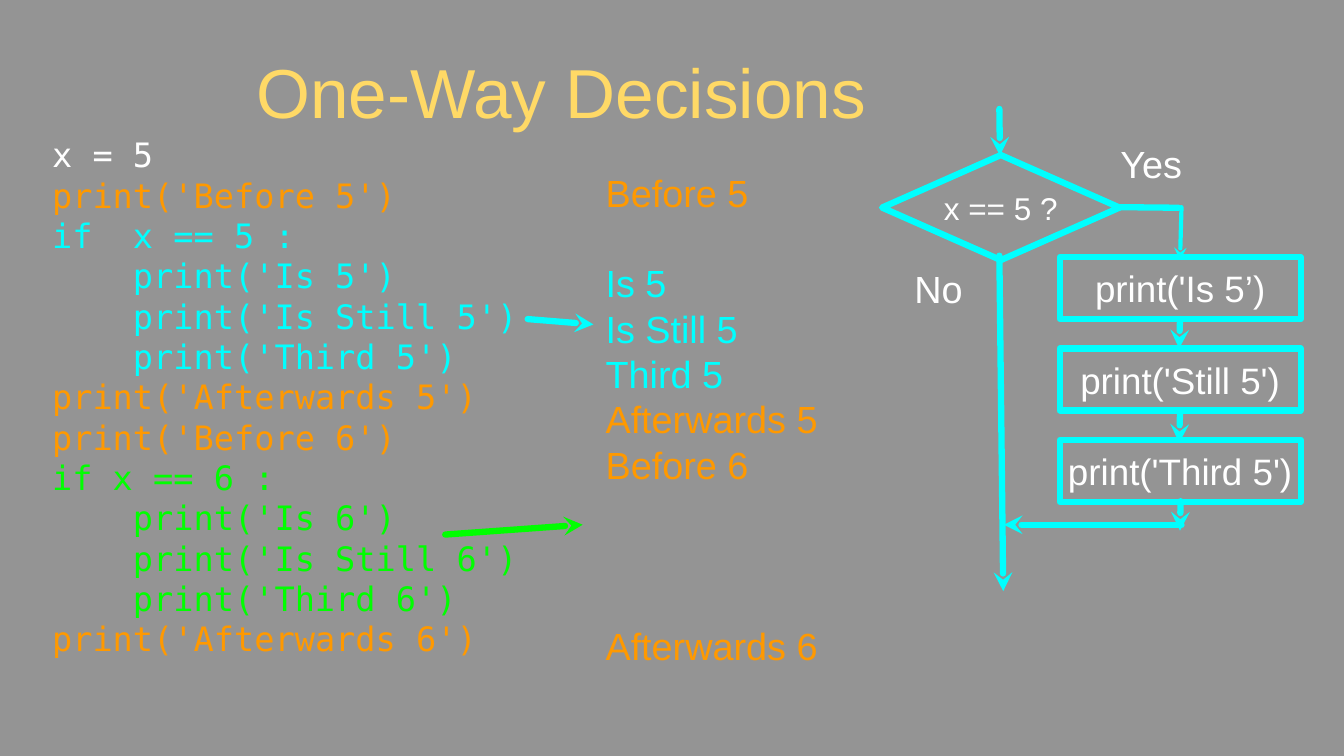
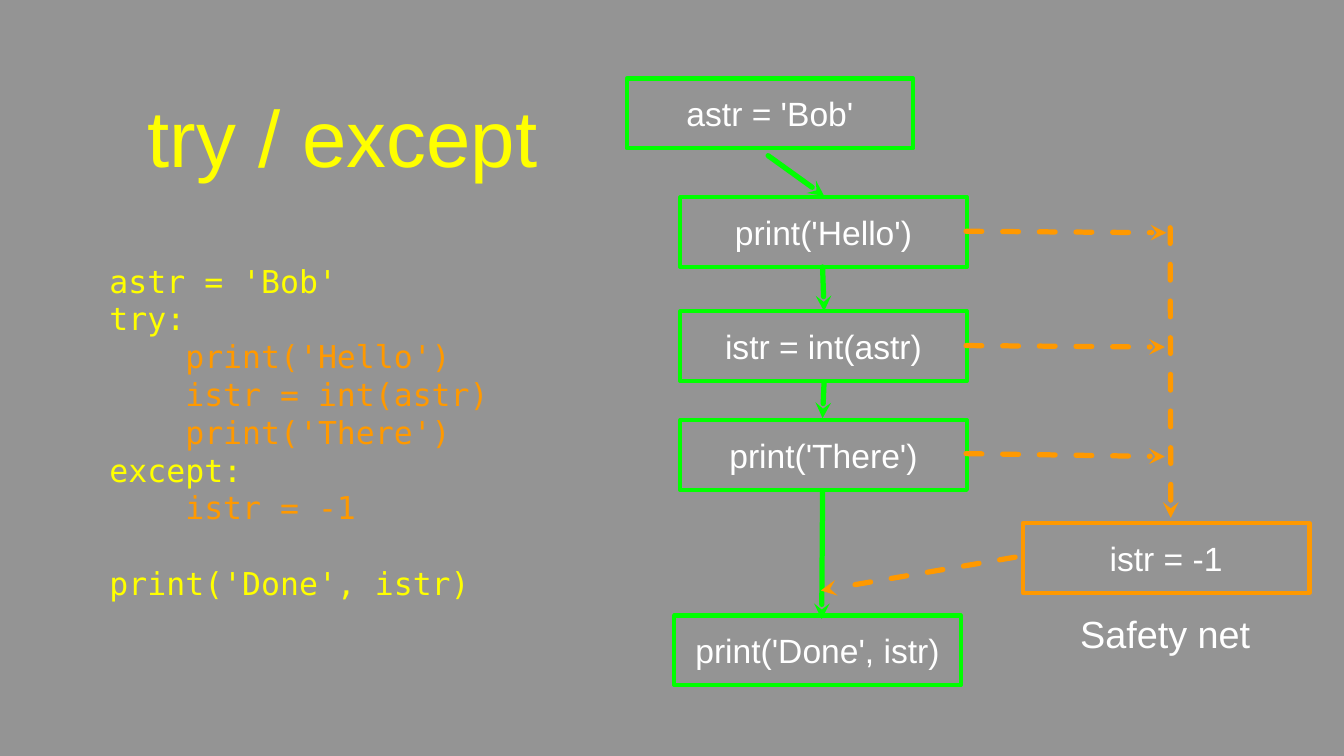
"""Build two slides on conditional execution: one-way decisions and try / except."""
from lxml import etree
from pptx import Presentation
from pptx.dml.color import RGBColor
from pptx.enum.dml import MSO_LINE
from pptx.enum.shapes import MSO_CONNECTOR, MSO_SHAPE
from pptx.enum.text import MSO_ANCHOR, PP_ALIGN
from pptx.oxml.ns import qn
from pptx.util import Cm, Pt

LEFT, CENTER = PP_ALIGN.LEFT, PP_ALIGN.CENTER
MIDDLE = MSO_ANCHOR.MIDDLE
RECTANGLE, DIAMOND = MSO_SHAPE.RECTANGLE, MSO_SHAPE.DIAMOND
STRAIGHT, DASH = MSO_CONNECTOR.STRAIGHT, MSO_LINE.DASH

GREY = RGBColor(0x94, 0x94, 0x94)
WHITE = RGBColor(0xFF, 0xFF, 0xFF)
GOLD = RGBColor(0xFF, 0xD9, 0x66)
YELLOW = RGBColor(0xFF, 0xFF, 0x00)
ORANGE = RGBColor(0xFF, 0x99, 0x00)
CYAN = RGBColor(0x00, 0xFF, 0xFF)
GREEN = RGBColor(0x00, 0xFF, 0x00)

SANS, MONO = "Arial", "DejaVu Sans Mono"
LINE_HEIGHT = 1.2
MONO_ADVANCE = 0.602


def write(shape, lines, size, font=SANS, align=CENTER, inset=0):
    """Fill a shape with lines of (text, colour, indent in characters, lines skipped before)."""
    frame = shape.text_frame
    frame.word_wrap = True
    frame.vertical_anchor = MIDDLE
    frame.margin_left = frame.margin_right = Cm(inset)
    frame.margin_top = frame.margin_bottom = Cm(inset)
    frame.text = "\n".join(line[0] for line in lines)
    for paragraph, (_, color, indent, skipped) in zip(frame.paragraphs, lines):
        paragraph.alignment = align
        paragraph.line_spacing = Pt(size * LINE_HEIGHT)
        paragraph.space_before = Pt(size * LINE_HEIGHT * skipped)
        if indent:
            margin = Pt(indent * MONO_ADVANCE * size)
            paragraph._p.get_or_add_pPr().set("marL", str(int(margin)))
        for run in paragraph.runs:
            run.font.name = font
            run.font.size = Pt(size)
            run.font.color.rgb = color


def connect(slide, points, color, width, dashed=False, arrow=True):
    """Draw a round-capped line through (x1, y1, x2, y2) with its arrowhead at the end."""
    connector = slide.shapes.add_connector(STRAIGHT, *[Cm(value) for value in points])
    connector.line.color.rgb = color
    connector.line.width = Pt(width)
    if dashed:
        connector.line.dash_style = DASH
    properties = connector._element.spPr
    outline = properties.find(qn("a:ln"))
    outline.set("cap", "rnd")
    if arrow:
        etree.SubElement(outline, qn("a:tailEnd")).set("type", "stealth")
    etree.SubElement(properties, qn("a:effectLst"))


prs = Presentation()
prs.slide_width, prs.slide_height = Cm(45.16), Cm(25.4)
prs.slide_master.background.fill.solid()
prs.slide_master.background.fill.fore_color.rgb = GREY
title_only = prs.slide_layouts[5]

decision_code = [
    ("x = 5", WHITE, 0, 0),
    ("print('Before 5')", ORANGE, 0, 0),
    ("if  x == 5 :", CYAN, 0, 0),
    ("print('Is 5')", CYAN, 4, 0),
    ("print('Is Still 5')", CYAN, 4, 0),
    ("print('Third 5')", CYAN, 4, 0),
    ("print('Afterwards 5')", ORANGE, 0, 0),
    ("print('Before 6')", ORANGE, 0, 0),
    ("if x == 6 :", GREEN, 0, 0),
    ("print('Is 6')", GREEN, 4, 0),
    ("print('Is Still 6')", GREEN, 4, 0),
    ("print('Third 6')", GREEN, 4, 0),
    ("print('Afterwards 6')", ORANGE, 0, 0),
]
decision_output = [
    ("Before 5", ORANGE, 0, 0),
    ("Is 5", CYAN, 0, 1),
    ("Is Still 5", CYAN, 0, 0),
    ("Third 5", CYAN, 0, 0),
    ("Afterwards 5", ORANGE, 0, 0),
    ("Before 6", ORANGE, 0, 0),
    ("Afterwards 6", ORANGE, 0, 3),
]
try_code = [
    ("astr = 'Bob'", YELLOW, 0, 0),
    ("try:", YELLOW, 0, 0),
    ("print('Hello')", ORANGE, 4, 0),
    ("istr = int(astr)", ORANGE, 4, 0),
    ("print('There')", ORANGE, 4, 0),
    ("except:", YELLOW, 0, 0),
    ("istr = -1", ORANGE, 4, 0),
    ("print('Done', istr)", YELLOW, 0, 1),
]

decision_steps = [(RECTANGLE, text, 35, (35.61, 8.64 + 3.07 * row, 8.1, 2.08), CYAN, 6)
                  for row, text in enumerate(["print('Is 5’)", "print('Still 5')", "print('Third 5')"])]
decision_steps.append((DIAMOND, "x == 5 ?", 30, (29.64, 5.21, 7.98, 3.53), CYAN, 6))
try_steps = [(RECTANGLE, text, 32, (left, top, 9.63, 2.34), color, 4)
             for text, left, top, color in [
                 ("astr = 'Bob'", 21.06, 2.64, GREEN),
                 ("print('Hello')", 22.86, 6.63, GREEN),
                 ("istr = int(astr)", 22.86, 10.46, GREEN),
                 ("print('There')", 22.86, 14.12, GREEN),
                 ("print('Done', istr)", 22.66, 20.68, GREEN),
                 ("istr = -1", 34.37, 17.58, ORANGE)]]

pages = [
    (("One-Way Decisions", GOLD, 66, (5.64, 1.57, 26.44, 2.97)),
     [(decision_code, 32, MONO, LEFT, (1.75, 4.29, 15.88, 18.06)),
      (decision_output, 36, SANS, LEFT, (20.35, 5.79, 7.85, 16.56)),
      ([("Yes", WHITE, 0, 0)], 36, SANS, CENTER, (37.13, 4.62, 3.1, 1.73)),
      ([("No", WHITE, 0, 0)], 36, SANS, CENTER, (30.53, 8.81, 2.01, 1.73))],
     decision_steps),
    (("try / except", YELLOW, 76, (3.2, 2.08, 16.61, 4.98)),
     [(try_code, 30, MONO, LEFT, (3.68, 7.9, 14.38, 13.21)),
      ([("Safety net", WHITE, 0, 0)], 36, SANS, CENTER, (35.89, 20.4, 6.53, 1.73))],
     try_steps),
]

for (heading, heading_color, heading_size, heading_box), texts, steps in pages:
    slide = prs.slides.add_slide(title_only)
    title = slide.shapes.title
    title.left, title.top, title.width, title.height = [Cm(value) for value in heading_box]
    write(title, [(heading, heading_color, 0, 0)], heading_size, inset=0.1)
    for lines, size, font, align, box in texts:
        textbox = slide.shapes.add_textbox(*[Cm(value) for value in box])
        write(textbox, lines, size, font, align)
    for preset, text, size, box, color, width in steps:
        step = slide.shapes.add_shape(preset, *[Cm(value) for value in box])
        step.shadow.inherit = False
        step.fill.background()
        step.line.color.rgb = color
        step.line.width = Pt(width)
        write(step, [(text, WHITE, 0, 0)], size)

decisions, safety = prs.slides

connect(decisions, (17.73, 10.72, 19.94, 10.9), CYAN, 6)
connect(decisions, (14.96, 17.96, 19.58, 17.63), GREEN, 6)
connect(decisions, (37.59, 6.96, 39.6, 6.98), CYAN, 6, arrow=False)
connect(decisions, (39.7, 6.96, 39.65, 8.74), CYAN, 4)
for flow in [(33.58, 3.66, 33.6, 5.23),
             (33.58, 8.59, 33.71, 19.86),
             (39.65, 10.72, 39.62, 11.71),
             (39.65, 13.89, 39.62, 14.88),
             (39.67, 16.84, 39.65, 17.83),
             (39.7, 17.63, 33.73, 17.63)]:
    connect(decisions, flow, CYAN, 6)

for flow in [(25.81, 5.23, 27.69, 6.58),
             (27.64, 8.97, 27.69, 10.46),
             (27.69, 12.83, 27.64, 14.05),
             (27.64, 16.51, 27.61, 20.8)]:
    connect(safety, flow, GREEN, 5)
for escape in [(32.46, 7.77, 39.19, 7.82),
               (32.46, 11.61, 39.14, 11.66),
               (32.46, 15.24, 39.14, 15.34),
               (39.32, 7.65, 39.34, 17.4),
               (34.11, 18.72, 27.58, 19.84)]:
    connect(safety, escape, ORANGE, 5, dashed=True)

prs.save("out.pptx")
